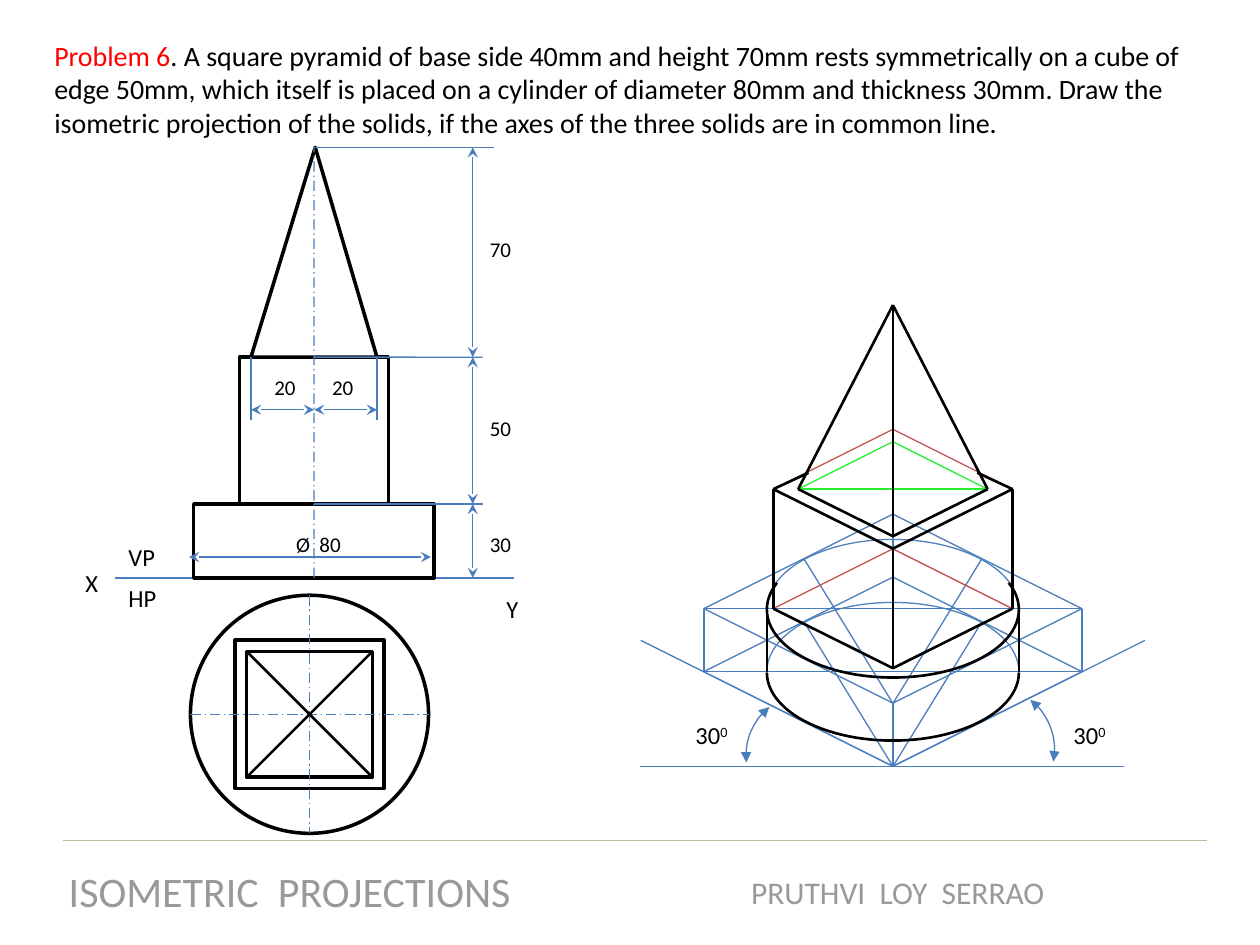
from lxml import etree
from pptx import Presentation
from pptx.dml.color import RGBColor
from pptx.enum.dml import MSO_LINE
from pptx.enum.shapes import MSO_CONNECTOR, MSO_SHAPE
from pptx.enum.text import MSO_ANCHOR, MSO_AUTO_SIZE, PP_ALIGN
from pptx.oxml.ns import qn
from pptx.util import Cm, Pt

RECT, ELLIPSE, TRIANGLE = MSO_SHAPE.RECTANGLE, MSO_SHAPE.OVAL, MSO_SHAPE.ISOSCELES_TRIANGLE
DIAMOND, ARC = MSO_SHAPE.DIAMOND, MSO_SHAPE.ARC
STRAIGHT, CHAIN = MSO_CONNECTOR.STRAIGHT, MSO_LINE.LONG_DASH_DOT
LEFT, CENTER, TOP = PP_ALIGN.LEFT, PP_ALIGN.CENTER, MSO_ANCHOR.TOP
COLORS = {
    "black": "000000", "white": "FFFFFF", "red": "FF0000", "guide": "4A7DBB",
    "blue": "4F81BD", "brick": "C0504D", "green": "25EF2F", "rule": "C4BD97", "grey": "999999",
}
RGB = {name: RGBColor.from_string(value) for name, value in COLORS.items()}

prs = Presentation()
prs.slide_width, prs.slide_height = Cm(25.4), Cm(19.05)
slide = prs.slides.add_slide(prs.slide_layouts[5])
shapes = slide.shapes


def solid(kind, cx, cy, width, height, color="black", weight=2, filled=False):
    """Add a preset shape around its centre, given in cm."""
    shape = shapes.add_shape(kind, Cm(cx - width / 2), Cm(cy - height / 2), Cm(width), Cm(height))
    shape.shadow.inherit = False
    if filled:
        shape.fill.solid()
        shape.fill.fore_color.rgb = RGB["white"]
    else:
        shape.fill.background()
    shape.line.color.rgb = RGB[color]
    shape.line.width = Pt(weight)
    return shape


def line(x1, y1, x2, y2, color="guide", weight=0.75, dash=None):
    """Add a straight connector between two points in cm."""
    connector = shapes.add_connector(STRAIGHT, Cm(x1), Cm(y1), Cm(x2), Cm(y2))
    etree.SubElement(connector._element.spPr, qn("a:effectLst"))
    connector.line.color.rgb = RGB[color]
    connector.line.width = Pt(weight)
    if dash:
        connector.line.dash_style = dash
    return connector


# Problem statement
title = shapes.title
title.left, title.top, title.width, title.height = Cm(0.84), Cm(0.64), Cm(23.5), Cm(2.31)
title.text_frame.word_wrap = True
title.text_frame.auto_size = MSO_AUTO_SIZE.NONE
title.text_frame.vertical_anchor = TOP
statement = title.text_frame.paragraphs[0]
statement.alignment = LEFT
for text, color in [
    ("Problem 6", "red"),
    (". A square pyramid of base side 40mm and height 70mm rests symmetrically on a cube of "
     "edge 50mm, which itself is placed on a cylinder of diameter 80mm and thickness 30mm. "
     "Draw the isometric projection of the solids, if the axes of the three solids are in "
     "common line.", "black"),
]:
    run = statement.add_run()
    run.text = text
    run.font.name, run.font.size = "Calibri", Pt(16)
    run.font.color.rgb = RGB[color]

# Top view
plan_x, plan_y = 6.24, 14.4
solid(ELLIPSE, plan_x, plan_y, 4.8, 4.8, filled=True)
for side in (3, 2.54):
    solid(RECT, plan_x, plan_y, side, side, filled=True)
line(plan_x, plan_y - 2.4, plan_x, plan_y + 2.4, dash=CHAIN)
line(plan_x - 2.4, plan_y, plan_x + 2.4, plan_y, dash=CHAIN)
for slope in (1, -1):
    line(plan_x - 1.27, plan_y - 1.27 * slope, plan_x + 1.27, plan_y + 1.27 * slope, "black", 1.5)

# Front view
front_x, dim_x = 6.33, 9.53
apex_y, cube_y, cylinder_y, ground_y = 2.97, 7.2, 10.16, 11.65
line(2.31, ground_y, 10.36, ground_y)
cylinder, cube, pyramid = [
    solid(kind, front_x, (top + bottom) / 2, width, bottom - top, filled=True)
    for kind, top, bottom, width in [
        (RECT, cylinder_y, ground_y, 4.85),
        (RECT, cube_y, cylinder_y, 3),
        (TRIANGLE, apex_y, cube_y, 2.54),
    ]
]
pyramid.adjustments[0] = 0.51
axis = line(front_x, ground_y, front_x, apex_y, dash=CHAIN)
axis.begin_connect(cylinder, 2)
axis.end_connect(pyramid, 0)
for part, y, end_x in [(cylinder, cylinder_y, 9.73), (cube, cube_y, 9.73), (pyramid, apex_y, 9.96)]:
    line(front_x, y, end_x, y).begin_connect(part, 0)
for x in (front_x - 1.27, front_x + 1.27):
    line(x, cube_y, x, 8.46)
dimensions = [
    line(x1, y1, x2, y2) for x1, y1, x2, y2 in [
        (dim_x, cylinder_y, dim_x, ground_y),
        (dim_x, cube_y, dim_x, cylinder_y),
        (dim_x, apex_y, dim_x, cube_y),
        (3.81, 11.23, 8.69, 11.23),
        (front_x - 1.27, 8.26, front_x, 8.26),
        (front_x, 8.26, front_x + 1.27, 8.26),
    ]
]

# Isometric axes and their angles
iso_x, floor_y = 18, 15.45
for end_x in (iso_x + 5.08, iso_x - 5.08):
    line(iso_x, floor_y, end_x, 12.91)
line(12.9, floor_y, 22.66, floor_y)
angles = []
for cx, cy, start, end in [(19.99, 15.11, 308, 11), (16.31, 15.24, 174, 231)]:
    angle = solid(ARC, cx, cy, 2.54, 2.54, "guide", 0.75)
    angle.adjustments[0], angle.adjustments[1] = start * 0.6, end * 0.6
    angles.append(angle)

# Arrowheads
for items, head in [(dimensions, "stealth"), (angles, "triangle")]:
    for item in items:
        for end in ("a:headEnd", "a:tailEnd"):
            etree.SubElement(item.line._get_or_add_ln(), qn(end), type=head)

# Construction of the cylinder: its base, then its top
base_y, top_y = 13.54, 12.27
for y, filled in [(base_y, True), (top_y, False)]:
    solid(DIAMOND, iso_x, y, 7.62, 3.81, "blue", 0.75, filled)
    solid(ELLIPSE, iso_x, y, 5.08, 2.79, "blue", 0.75, filled)
    for side in (-1, 1):
        line(iso_x + side * 1.79, y - 1, iso_x, y + 1.91)
    line(iso_x - 3.81, y, iso_x + 3.81, y)
for dx, dy in [(-3.81, 0), (0, 1.91), (0, -1.91), (3.81, 0)]:
    line(iso_x + dx, base_y + dy, iso_x + dx, top_y + dy)

# Construction of the cube and the pyramid
cube_top_y, iso_apex_y = 9.86, 6.15
for y in (top_y, cube_top_y):
    solid(DIAMOND, iso_x, y, 4.82, 2.41, "brick", 0.75)
solid(DIAMOND, iso_x, cube_top_y, 3.81, 1.91, "green", 0.75)
line(iso_x - 1.91, cube_top_y, iso_x + 1.91, cube_top_y, "green")

# Visible edges of the solids
line(iso_x, iso_apex_y, iso_x, cube_top_y + 0.95, "black", 1.5)
line(iso_x, cube_top_y + 1.2, iso_x, top_y + 1.2, "black", 1.5)
for side in (-1, 1):
    for dx1, y1, dx2, y2 in [
        (0, iso_apex_y, 1.91, cube_top_y),
        (1.91, cube_top_y, 0, cube_top_y + 0.95),
        (1.7, 9.53, 2.41, cube_top_y),
        (2.41, cube_top_y, 0, cube_top_y + 1.2),
        (2.41, cube_top_y, 2.41, top_y),
        (2.41, top_y, 0, top_y + 1.2),
        (2.54, top_y, 2.54, base_y),
    ]:
        line(iso_x + side * dx1, y1, iso_x + side * dx2, y2, "black", 1.5)
for y, start, end in [(top_y, 347, 193), (base_y, 0, 180)]:
    rim = solid(ARC, iso_x, y + 0.02, 5.08, 2.74, weight=1.5)
    rim.adjustments[0], rim.adjustments[1] = start * 0.6, end * 0.6

# Labels and footer
line(24.33, 16.94, 1.27, 16.94, "rule")
for text, raised, x, y, width, height, size, color, align in [
    ("X", "", 1.47, 11.33, 0.61, 0.69, 14, "black", LEFT),
    ("Y", "", 9.96, 11.86, 0.61, 0.69, 14, "black", LEFT),
    ("VP", "", 2.34, 10.8, 1.42, 0.69, 14, "black", LEFT),
    ("HP", "", 2.34, 11.63, 1.42, 0.69, 14, "black", LEFT),
    (" 70", "", dim_x, 4.65, 1.04, 0.76, 12, "black", LEFT),
    (" 50", "", dim_x, 8.26, 1.04, 0.76, 12, "black", LEFT),
    (" 30", "", dim_x, 10.59, 1.04, 0.76, 12, "black", LEFT),
    ("20", "", 5.28, 7.42, 0.94, 0.76, 12, "black", LEFT),
    (" 20", "", 6.35, 7.42, 1.04, 0.76, 12, "black", LEFT),
    ("Ø  80", "", 5.72, 10.59, 1.42, 0.76, 12, "black", LEFT),
    ("30", "0", 13.77, 14.4, 1.19, 0.86, 14, "black", LEFT),
    ("30", "0", 21.39, 14.4, 1.19, 0.86, 14, "black", LEFT),
    ("ISOMETRIC  PROJECTIONS", "", 1.09, 17.32, 9.5, 1.27, 24, "grey", CENTER),
    ("PRUTHVI  LOY  SERRAO", "", 14.86, 17.48, 6.48, 1.02, 18, "grey", CENTER),
]:
    label = shapes.add_textbox(Cm(x), Cm(y), Cm(width), Cm(height)).text_frame
    label.word_wrap = False
    paragraph = label.paragraphs[0]
    paragraph.alignment = align
    for part in filter(None, (text, raised)):
        run = paragraph.add_run()
        run.text = part
        run.font.name, run.font.size = "Calibri", Pt(size)
        run.font.color.rgb = RGB[color]
    if raised:
        run.font._element.set("baseline", "30000")

prs.save("out.pptx")
